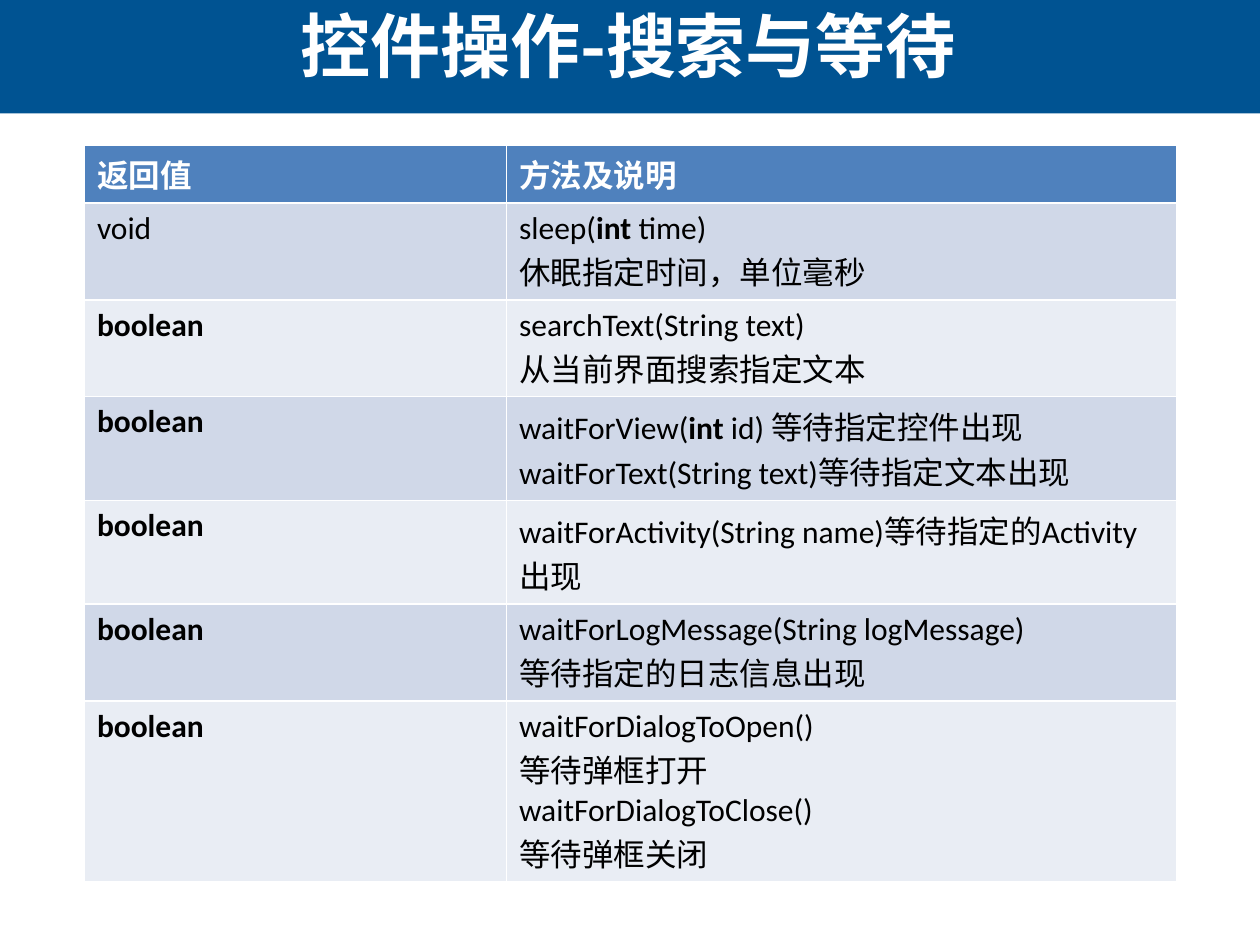
from lxml.etree import SubElement
from pptx import Presentation
from pptx.dml.color import RGBColor
from pptx.enum.shapes import MSO_SHAPE
from pptx.enum.text import MSO_ANCHOR, PP_ALIGN
from pptx.oxml.ns import qn
from pptx.util import Pt

EMU_PER_PX = 9144  # 100 px to the inch
WHITE = RGBColor(0xFF, 0xFF, 0xFF)
BLACK = RGBColor(0x00, 0x00, 0x00)
BANNER_BLUE = RGBColor(0x00, 0x53, 0x92)
HEADER_BLUE = RGBColor(0x4F, 0x81, 0xBD)
BANDS = (RGBColor(0xD0, 0xD8, 0xE8), RGBColor(0xE9, 0xED, 0xF4))
LATIN_FONT = "Calibri"
CJK_FONT = "Noto Sans CJK SC"

# Each cell is a list of lines; a line is a list of (text, bold) runs.
HEADER = [[[("返回值", True)]], [[("方法及说明", True)]]]
BOOLEAN = [[("boolean", True)]]
METHODS = [
    [[[("void", False)]],
     [[("sleep(", False), ("int ", True), ("time)", False)],
      [("休眠指定时间，单位毫秒", False)]]],
    [BOOLEAN,
     [[("searchText(String text)", False)],
      [("从当前界面搜索指定文本", False)]]],
    [BOOLEAN,
     [[("waitForView(", False), ("int ", True), ("id) 等待指定控件出现", False)],
      [("waitForText(String text)等待指定文本出现", False)]]],
    [BOOLEAN,
     [[("waitForActivity(String name)等待指定的Activity出现", False)]]],
    [BOOLEAN,
     [[("waitForLogMessage(String logMessage)", False)],
      [("等待指定的日志信息出现", False)]]],
    [BOOLEAN,
     [[("waitForDialogToOpen()", False)],
      [("等待弹框打开", False)],
      [("waitForDialogToClose()", False)],
      [("等待弹框关闭", False)]]],
]


def px(length):
    return length * EMU_PER_PX


class SlideBuilder:
    def __init__(self, slide):
        self.slide = slide

    def add_lines(self, frame, lines, size, color, latin, align=None):
        for index, line in enumerate(lines):
            paragraph = frame.add_paragraph() if index else frame.paragraphs[0]
            paragraph.alignment = align
            for text, bold in line:
                run = paragraph.add_run()
                run.text = text
                run.font.size = Pt(size)
                run.font.bold = bold
                run.font.color.rgb = color
                run.font.name = latin
                east_asian = SubElement(run.font._element, qn("a:ea"))
                east_asian.set("typeface", CJK_FONT)

    def banner(self, left, top, width, height):
        banner = self.slide.shapes.add_shape(
            MSO_SHAPE.RECTANGLE, px(left), px(top), px(width), px(height))
        banner.shadow.inherit = False
        banner.fill.solid()
        banner.fill.fore_color.rgb = BANNER_BLUE
        banner.line.fill.background()

    def title(self, text, left, top, width, height):
        box = self.slide.shapes.add_textbox(
            px(left), px(top), px(width), px(height))
        frame = box.text_frame
        frame.word_wrap = True
        frame.vertical_anchor = MSO_ANCHOR.MIDDLE
        self.add_lines(frame, [[(text, True)]], 40, WHITE, CJK_FONT,
                       PP_ALIGN.CENTER)

    def table(self, rows, left, top, column_widths, row_height):
        """Add a table with a header row and banded body; rows grow to fit."""
        table = self.slide.shapes.add_table(
            len(rows), len(column_widths), px(left), px(top),
            px(sum(column_widths)), px(row_height * len(rows))).table
        for column, width in zip(table.columns, column_widths):
            column.width = px(width)
        for row_index, row in enumerate(rows):
            is_header = row_index == 0
            fill = HEADER_BLUE if is_header else BANDS[(row_index - 1) % 2]
            for column_index, lines in enumerate(row):
                cell = table.cell(row_index, column_index)
                cell.fill.solid()
                cell.fill.fore_color.rgb = fill
                self.add_lines(cell.text_frame, lines, 18,
                               WHITE if is_header else BLACK, LATIN_FONT)


def main():
    presentation = Presentation()
    presentation.slide_width = px(1000)
    presentation.slide_height = px(750)
    blank = presentation.slide_layouts[6]
    builder = SlideBuilder(presentation.slides.add_slide(blank))
    builder.banner(0, 0, 1000, 90)
    builder.table([HEADER, *METHODS], 67, 115, (335, 532), 41)
    builder.title("控件操作-搜索与等待", -3, -18, 1003, 107)
    presentation.save("out.pptx")


if __name__ == "__main__":
    main()
